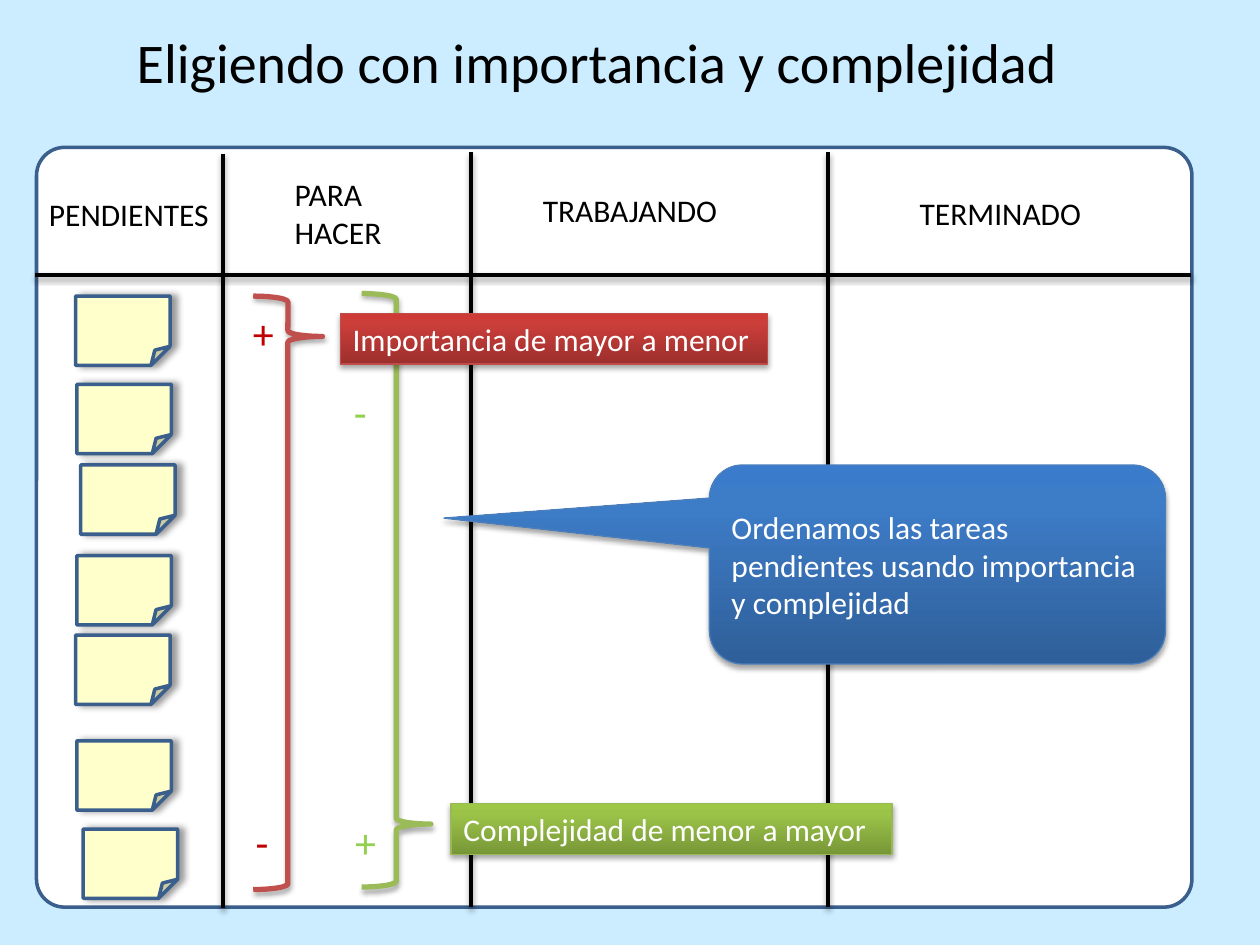
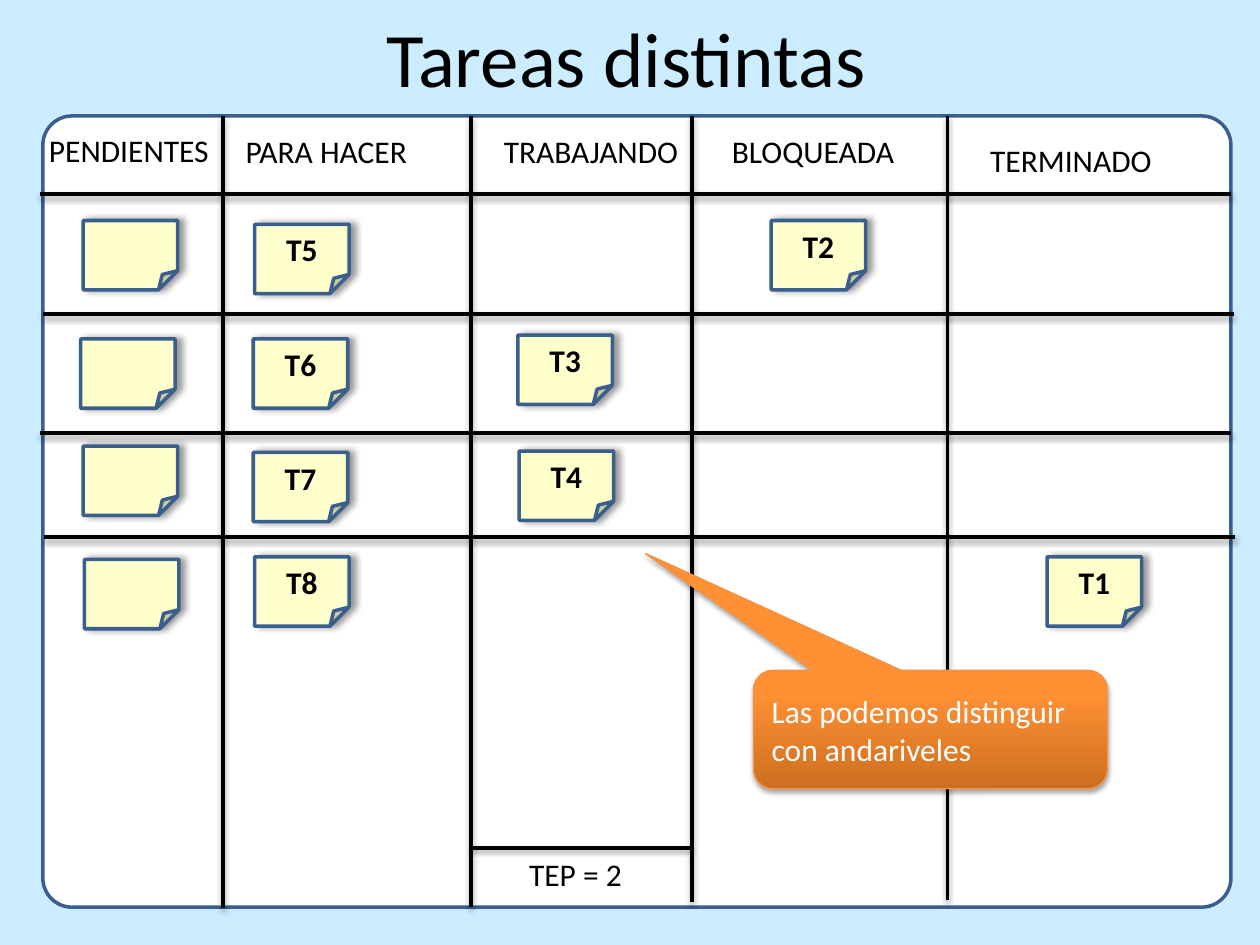
from copy import deepcopy
from typing import NamedTuple

from lxml import etree
from pptx import Presentation
from pptx.dml.color import RGBColor
from pptx.enum.shapes import MSO_CONNECTOR, MSO_SHAPE
from pptx.enum.text import MSO_ANCHOR, MSO_AUTO_SIZE, PP_ALIGN
from pptx.oxml.ns import qn
from pptx.util import Inches, Pt

STRAIGHT = MSO_CONNECTOR.STRAIGHT
ROUND_RECT, RECT = MSO_SHAPE.ROUNDED_RECTANGLE, MSO_SHAPE.RECTANGLE
NOTE, BRACE = MSO_SHAPE.FOLDED_CORNER, MSO_SHAPE.RIGHT_BRACE
CALLOUT = MSO_SHAPE.ROUNDED_RECTANGULAR_CALLOUT
LEFT, CENTER = PP_ALIGN.LEFT, PP_ALIGN.CENTER
TOP, MIDDLE = MSO_ANCHOR.TOP, MSO_ANCHOR.MIDDLE
NO_FIT = MSO_AUTO_SIZE.NONE

# Shared look
FONT = "Calibri"
SKY, WHITE, BLACK = "CCECFF", "FFFFFF", "000000"
BORDER, NOTE_YELLOW = "3A5F8C", "FFFFCC"
RED, GREEN = "C00000", "92D050"
NOTE_W, NOTE_H = 0.75, 0.55
LABEL_H = 0.4


class Box(NamedTuple):
    x: float
    y: float
    w: float
    h: float


class Shadow(NamedTuple):
    alpha: int
    blur: float
    dist: float
    angle: int


class Line(NamedTuple):
    x1: float
    y1: float
    x2: float
    y2: float


class Label(NamedTuple):
    text: str
    box: Box
    size: int = 18
    color: str = BLACK


class Sticky(NamedTuple):
    x: float
    y: float
    text: str = ""


class Panel(NamedTuple):
    """A gradient shape with white text: a tag or a callout."""
    text: str
    box: Box
    stops: tuple[str, str, str]
    border: str
    kind: int = RECT
    adj: tuple[float, ...] = ()


class Brace(NamedTuple):
    box: Box
    point: float
    color: str


SOFT = Shadow(35, 3.1, 1.8, 90)
NOTE_SHADOW = Shadow(40, 4, 3, 0)
BLUE_STOPS = ("2F5F99", "3D7CC7", "3A7CCB")
RED_STOPS = ("9C2F2D", "CB3E3A", "CE3B37")
GREEN_STOPS = ("779737", "9BC348", "9DC746")
ORANGE_STOPS = ("CC6E20", "FF9034", "FF9136")


# Drawing helpers
def rgb(color: str) -> RGBColor:
    return RGBColor.from_string(color)


def inches(values) -> list:
    return [Inches(v) for v in values]


def write(tf, text: str, *, size: int = 18, color: str = BLACK, bold: bool = False,
          align=LEFT, anchor=TOP, wrap: bool = False) -> None:
    tf.text = text
    tf.word_wrap, tf.auto_size, tf.vertical_anchor = wrap, NO_FIT, anchor
    for p in tf.paragraphs:
        p.alignment = align
        for r in p.runs:
            r.font.name, r.font.size, r.font.bold = FONT, Pt(size), bold
            r.font.color.rgb = rgb(color)


def add_shadow(effects, shadow: Shadow) -> None:
    outer = etree.SubElement(
        effects, qn("a:outerShdw"), blurRad=str(Pt(shadow.blur)), dist=str(Pt(shadow.dist)),
        dir=str(shadow.angle * 60000), rotWithShape="0")
    tint = etree.SubElement(outer, qn("a:srgbClr"), val=BLACK)
    etree.SubElement(tint, qn("a:alpha"), val=str(shadow.alpha * 1000))


def set_adjustments(sp, values: tuple[float, ...]) -> None:
    """Writes the guides directly, since the folded corner lists no adjustments."""
    geometry = sp._element.spPr.find(qn("a:prstGeom"))
    for old in geometry.findall(qn("a:avLst")):
        geometry.remove(old)
    guides = etree.SubElement(geometry, qn("a:avLst"))
    for i, value in enumerate(values, 1):
        etree.SubElement(guides, qn("a:gd"), name=f"adj{i}" if len(values) > 1 else "adj",
                         fmla=f"val {round(value * 100000)}")


def add_shape(s, kind: int, box: Box, *, border: str, width: float, fill: str = "",
              adj: tuple[float, ...] = (), shadow: Shadow | None = None):
    sp = s.shapes.add_shape(kind, *inches(box))
    if adj:
        set_adjustments(sp, adj)
    if fill:
        sp.fill.solid()
        sp.fill.fore_color.rgb = rgb(fill)
    else:
        sp.fill.background()
    sp.line.color.rgb, sp.line.width = rgb(border), Pt(width)
    sp.shadow.inherit = False
    if shadow:
        add_shadow(sp._element.spPr.find(qn("a:effectLst")), shadow)
    return sp


def add_panel(s, panel: Panel) -> None:
    sp = add_shape(s, panel.kind, panel.box, border=panel.border, width=0.75,
                   adj=panel.adj, shadow=SOFT)
    sp.fill.gradient()
    sp.fill.gradient_angle = 90
    stop_list = sp._element.spPr.find(".//" + qn("a:gsLst"))
    stop_list.append(deepcopy(stop_list[-1]))
    for stop, color, position in zip(sp.fill.gradient_stops, panel.stops, (0, 0.8, 1)):
        stop.color.rgb, stop.position = rgb(color), position
    is_callout = panel.kind == CALLOUT
    write(sp.text_frame, panel.text, color=WHITE, wrap=is_callout,
          anchor=MIDDLE if is_callout else TOP)


def add_sticky(s, sticky: Sticky) -> None:
    sp = add_shape(s, NOTE, Box(sticky.x, sticky.y, NOTE_W, NOTE_H), fill=NOTE_YELLOW,
                   border=BORDER, width=2, adj=(0.275,), shadow=NOTE_SHADOW)
    if sticky.text:
        write(sp.text_frame, sticky.text, bold=True, align=CENTER, anchor=MIDDLE, wrap=True)


def add_line(s, line: Line) -> None:
    cx = s.shapes.add_connector(STRAIGHT, *inches(line))
    cx.line.color.rgb, cx.line.width = rgb(BLACK), Pt(2.25)
    add_shadow(etree.SubElement(cx._element.spPr, qn("a:effectLst")), SOFT)


def add_label(s, label: Label) -> None:
    tb = s.shapes.add_textbox(*inches(label.box))
    write(tb.text_frame, label.text, size=label.size, color=label.color)


def add_brace(s, brace: Brace) -> None:
    add_shape(s, BRACE, brace.box, border=brace.color, width=3,
              adj=(0.083, brace.point), shadow=SOFT)


def add_board(prs, title: str, title_box: Box, title_size: int, board: Box,
              lines: list[Line], labels: list[Label], stickies: list[Sticky]):
    """Adds a slide with its title, board, grid lines, labels and notes."""
    s = prs.slides.add_slide(prs.slide_layouts[5])
    head = s.shapes.title
    head.left, head.top, head.width, head.height = inches(title_box)
    write(head.text_frame, title, size=title_size, align=CENTER, wrap=True)
    add_shape(s, ROUND_RECT, board, fill=WHITE, border=BORDER, width=2, adj=(0.037,))
    for line in lines:
        add_line(s, line)
    for label in labels:
        add_label(s, label)
    for sticky in stickies:
        add_sticky(s, sticky)
    return s


# Slide 1: ordering by importance and complexity
def build_priorities(prs) -> None:
    lines = [Line(0.28, 2.18, 9.45, 2.18), Line(1.77, 1.22, 1.77, 7.21)]
    lines += [Line(x, 1.21, x, 7.2) for x in (3.74, 6.57)]
    labels = [
        Label("PENDIENTES", Box(0.29, 1.5, 1.48, LABEL_H)),
        Label("PARA\nHACER", Box(2.24, 1.34, 0.9, 0.71)),
        Label("TRABAJANDO", Box(4.21, 1.47, 1.6, LABEL_H)),
        Label("TERMINADO", Box(7.2, 1.49, 1.49, LABEL_H)),
    ]
    stickies = [Sticky(x, y) for x, y in (
        (0.6, 2.35), (0.61, 3.05), (0.64, 3.69), (0.61, 4.41),
        (0.6, 5.04), (0.61, 5.88), (0.66, 6.58))]
    s = add_board(prs, "Eligiendo con importancia y complejidad", Box(0.94, 0.17, 7.6, 0.64),
                  32, Box(0.29, 1.17, 9.17, 6.03), lines, labels, stickies)

    # Scales, their names and end marks
    add_brace(s, Brace(Box(2.01, 2.35, 0.55, 4.71), 0.068, "C0504D"))
    add_brace(s, Brace(Box(2.87, 2.33, 0.55, 4.71), 0.894, "9BBB59"))
    add_panel(s, Panel("Importancia de mayor a menor", Box(2.7, 2.49, 3.39, LABEL_H),
                       RED_STOPS, "BF4C48"))
    add_panel(s, Panel("Complejidad de menor a mayor", Box(3.58, 6.38, 3.5, LABEL_H),
                       GREEN_STOPS, "98B955"))
    for mark, x, y, w, color in (("+", 1.91, 2.39, 0.37, RED), ("-", 1.93, 6.43, 0.31, RED),
                                 ("-", 2.71, 3.02, 0.31, GREEN), ("+", 2.72, 6.43, 0.37, GREEN)):
        add_label(s, Label(mark, Box(x, y, w, 0.5), 24, color))
    add_panel(s, Panel("Ordenamos las tareas pendientes usando importancia y complejidad",
                       Box(5.63, 3.69, 3.62, 1.58), BLUE_STOPS, "4B7EBC",
                       CALLOUT, (-1.082, -0.233, 0.167)))


# Slide 2: swim lanes
def build_lanes(prs) -> None:
    lines = [Line(x, y, x + 9.45, y)
             for x, y in ((0.32, 1.54), (0.34, 2.49), (0.32, 3.44), (0.35, 4.26))]
    lines += [Line(x, 0.92, x, bottom)
              for x, bottom in ((1.77, 7.21), (3.74, 7.2), (5.49, 7.16), (7.52, 7.14))]
    lines.append(Line(3.74, 6.73, 5.49, 6.73))
    labels = [Label(text, Box(x, y, w, LABEL_H)) for text, x, y, w in (
        ("PENDIENTES", 0.29, 0.99, 1.48), ("PARA HACER", 1.85, 1, 1.81),
        ("TRABAJANDO", 3.9, 1, 1.6), ("BLOQUEADA", 5.71, 1, 1.5),
        ("TERMINADO", 7.76, 1.07, 1.49), ("TEP = 2", 4.1, 6.74, 0.95))]
    stickies = [
        Sticky(0.66, 1.75), Sticky(0.64, 2.69), Sticky(0.66, 3.54), Sticky(0.67, 4.44),
        Sticky(2.02, 1.78, "T5"), Sticky(2.01, 2.69, "T6"),
        Sticky(2.01, 3.59, "T7"), Sticky(2.02, 4.42, "T8"),
        Sticky(4.11, 2.66, "T3"), Sticky(4.12, 3.58, "T4"),
        Sticky(6.12, 1.75, "T2"), Sticky(8.31, 4.42, "T1"),
    ]
    s = add_board(prs, "Tareas distintas", Box(0.64, 0.03, 8.66, 0.84), 44,
                  Box(0.34, 0.92, 9.43, 6.28), lines, labels, stickies)
    add_panel(s, Panel("Las podemos distinguir con andariveles", Box(5.98, 5.32, 2.81, 0.94),
                       ORANGE_STOPS, "F69240", CALLOUT, (-0.805, -1.486, 0.167)))


def main() -> None:
    prs = Presentation()
    prs.slide_width, prs.slide_height = Inches(10), Inches(7.5)
    backdrop = prs.slide_master.background.fill
    backdrop.solid()
    backdrop.fore_color.rgb = rgb(SKY)
    build_priorities(prs)
    build_lanes(prs)
    prs.save("out.pptx")


if __name__ == "__main__":
    main()
